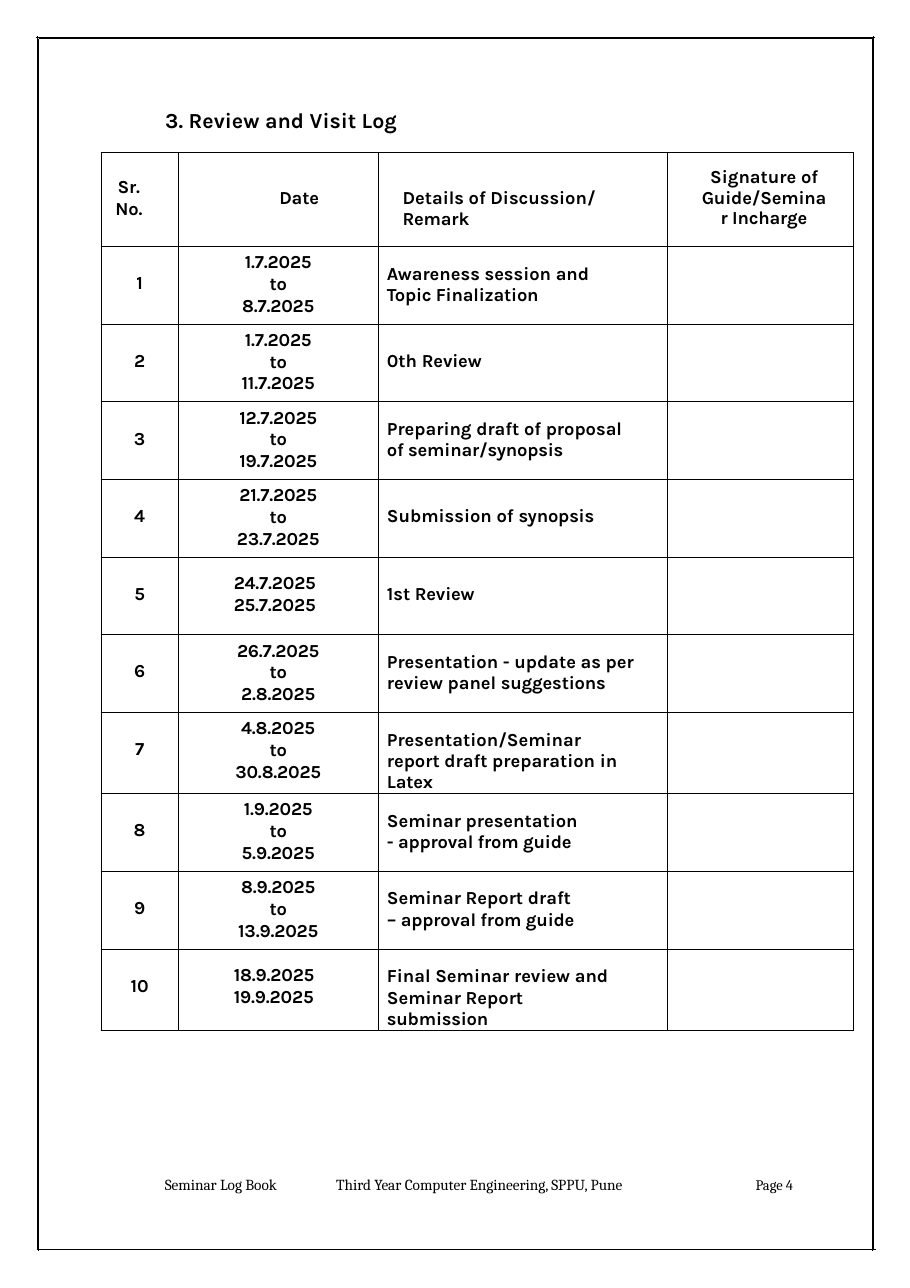
from lxml.etree import SubElement
from pptx import Presentation
from pptx.dml.color import RGBColor
from pptx.enum.shapes import MSO_CONNECTOR
from pptx.enum.text import PP_ALIGN
from pptx.oxml.ns import qn
from pptx.util import Cm, Pt

INK = "000000"
PAGE = (20.98, 29.69)
HEADING = ("3. Review and Visit Log", 3.81, 2.44, 5.44, 0.66, "Karla", 14, True)
FOOTER = [
    ("Seminar Log Book", 3.8, 27.06, 2.82, 0.48, "Cambria", 10, False),
    ("Third Year Computer Engineering, SPPU, Pune", 7.75, 27.06, 7.04, 0.48, "Cambria", 10, False),
    ("Page 4", 17.42, 27.08, 1.02, 0.46, "Cambria", 9.5, False),
]
OUTER_FRAME = [
    ((0.86, 0.84), (0.86, 28.8)),
    ((20.14, 0.84), (20.14, 28.8)),
    ((0.84, 0.86), (20.17, 0.86)),
]
INNER_FRAME = [
    ((0.89, 0.89), (20.12, 0.89)),
    ((0.89, 0.89), (0.89, 28.83)),
]
EDGES = [(20.12, 0.89, 20.12, 28.83), (0.86, 28.8, 20.19, 28.8)]
TABLE_AT = (2.33, 3.51)
COLUMN_WIDTHS = (1.78, 4.61, 6.67, 4.29)
HEADER_HEIGHT, VISIT_HEIGHT = 2.17, 1.79
WIDE, MEDIUM, NARROW = 0.64, 1.07, 1.98
HEADER = [
    (0.57, [("|Sr.", 0.38, 0), ("|No.", 0.33, 0)], PP_ALIGN.LEFT),
    (0.81, [("|Date", 2.33, 0)], PP_ALIGN.LEFT),
    (0.81, [("Details of Discussion/ |Remark", 0.56, MEDIUM)], PP_ALIGN.LEFT),
    (0.36, [("Signature |of Guide/Seminar Incharge", 0.76, 0.6)], PP_ALIGN.CENTER, 13.4),
]
VISITS = [
    ("1.7.2025", "to 8.7.2025", "Awareness session and| Topic Finalization", MEDIUM),
    ("1.7.2025", "to 11.7.2025", "0th |Review", None),
    ("12.7.2025", "to 19.7.2025", "Preparing draft of proposal |of seminar/synopsis", WIDE),
    ("21.7.2025", "to 23.7.2025", "Submission of |synopsis", None),
    ("24.7.2025", "25.7.2025", "1st| Review", None),
    ("26.7.2025", "to 2.8.2025", "Presentation - update as per review panel| suggestions", WIDE),
    ("4.8.2025", "to 30.8.2025", "Presentation/Seminar report draft preparation in |Latex", MEDIUM),
    ("1.9.2025", "to 5.9.2025", "Seminar presentation |- approval from guide", NARROW),
    ("8.9.2025", "to 13.9.2025", "Seminar Report draft |– approval from guide", NARROW),
    ("18.9.2025", "19.9.2025", "Final Seminar review and Seminar Report |submission", MEDIUM),
]
ONE_LINE_TOP, TWO_LINE_TOP, THREE_LINE_TOP = 0.61, 0.39, 0.12
DATE_PAIR_TOP = 0.36
DATE_INDENT, DETAIL_INDENT = 1.28, 0.2


def color(value):
    return RGBColor.from_string(value)


def add_words(paragraph, words, font, size, bold, tight=False):
    run = paragraph.add_run()
    run.text = words
    run.font.name, run.font.size, run.font.bold = font, Pt(size), bold
    run.font.color.rgb = color(INK)
    if tight:
        run._r.get_or_add_rPr().set("spc", "-10")


def add_label(slide, words, left, top, width, height, font, size, bold):
    frame = slide.shapes.add_textbox(Cm(left), Cm(top), Cm(width), Cm(height)).text_frame
    frame.margin_left = frame.margin_right = frame.margin_bottom = 0
    frame.margin_top = Cm(0.03)
    add_words(frame.paragraphs[0], words, font, size, bold)


def style_rule(rule):
    rule.line.color.rgb = color(INK)
    rule.line.width = Pt(0.48)


def add_edge(slide, *ends):
    edge = slide.shapes.add_connector(MSO_CONNECTOR.STRAIGHT, *map(Cm, ends))
    style_rule(edge)
    SubElement(edge._element.spPr, qn("a:effectLst"))


def add_frame(slide, sides):
    outline = slide.shapes.build_freeform(*map(Cm, sides[0][0]))
    for start, end in sides:
        outline.move_to(*map(Cm, start))
        outline.add_line_segments([tuple(map(Cm, end))], close=False)
    frame = outline.convert_to_shape()
    frame.shadow.inherit = False
    frame.fill.background()
    style_rule(frame)


def style_cell(cell):
    cell.margin_left = cell.margin_right = cell.margin_top = cell.margin_bottom = 0
    properties = cell._tc.get_or_add_tcPr()
    for side in ("lnL", "lnR", "lnT", "lnB"):
        border = SubElement(properties, qn(f"a:{side}"), w=str(Pt(0.5)))
        SubElement(SubElement(border, qn("a:solidFill")), qn("a:srgbClr"), val=INK)
    cell.fill.background()


def fill_cell(cell, top, paragraphs, alignment, pitch=14):
    cell.margin_top = Cm(top)
    frame = cell.text_frame
    for index, (words, left, right) in enumerate(paragraphs):
        paragraph = frame.add_paragraph() if index else frame.paragraphs[0]
        paragraph.alignment = alignment
        paragraph.line_spacing = Pt(pitch)
        indents = paragraph._p.get_or_add_pPr()
        indents.set("marL", str(Cm(left)))
        indents.set("marR", str(Cm(right)))
        for tight, part in enumerate(words.split("|")):
            if part:
                add_words(paragraph, part, "Karla", 12, True, tight)


def visit_cells(number, start, end, details, right):
    ranged = end.startswith("to ")
    date_top = THREE_LINE_TOP if ranged else DATE_PAIR_TOP
    date_side = PP_ALIGN.CENTER if ranged else PP_ALIGN.LEFT
    detail_top = ONE_LINE_TOP if right is None else TWO_LINE_TOP
    dates = [(f"|{day}", DATE_INDENT, DATE_INDENT) for day in (start, end)]
    return [
        (ONE_LINE_TOP, [(str(number), 0, 0)], PP_ALIGN.CENTER),
        (date_top, dates, date_side, 14.2),
        (detail_top, [(details, DETAIL_INDENT, right or 0)], PP_ALIGN.LEFT),
    ]


def add_log(slide):
    heights = [HEADER_HEIGHT] + [VISIT_HEIGHT] * len(VISITS)
    size = (sum(COLUMN_WIDTHS), sum(heights))
    log = slide.shapes.add_table(
        len(heights), len(COLUMN_WIDTHS), *map(Cm, TABLE_AT + size)
    ).table
    log.first_row = log.horz_banding = False
    for column, width in zip(log.columns, COLUMN_WIDTHS):
        column.width = Cm(width)
    for row, height in zip(log.rows, heights):
        row.height = Cm(height)
    for cell in log.iter_cells():
        style_cell(cell)
    contents = [HEADER] + [visit_cells(n, *visit) for n, visit in enumerate(VISITS, 1)]
    for row, entries in zip(log.rows, contents):
        for cell, entry in zip(row.cells, entries):
            fill_cell(cell, *entry)


def main():
    """Build the review and visit log page of the seminar log book."""
    deck = Presentation()
    deck.slide_width, deck.slide_height = map(Cm, PAGE)
    slide = deck.slides.add_slide(deck.slide_layouts[6])
    for sides in (OUTER_FRAME, INNER_FRAME):
        add_frame(slide, sides)
    for ends in EDGES:
        add_edge(slide, *ends)
    for label in [HEADING, *FOOTER]:
        add_label(slide, *label)
    add_log(slide)
    deck.save("out.pptx")


if __name__ == "__main__":
    main()
